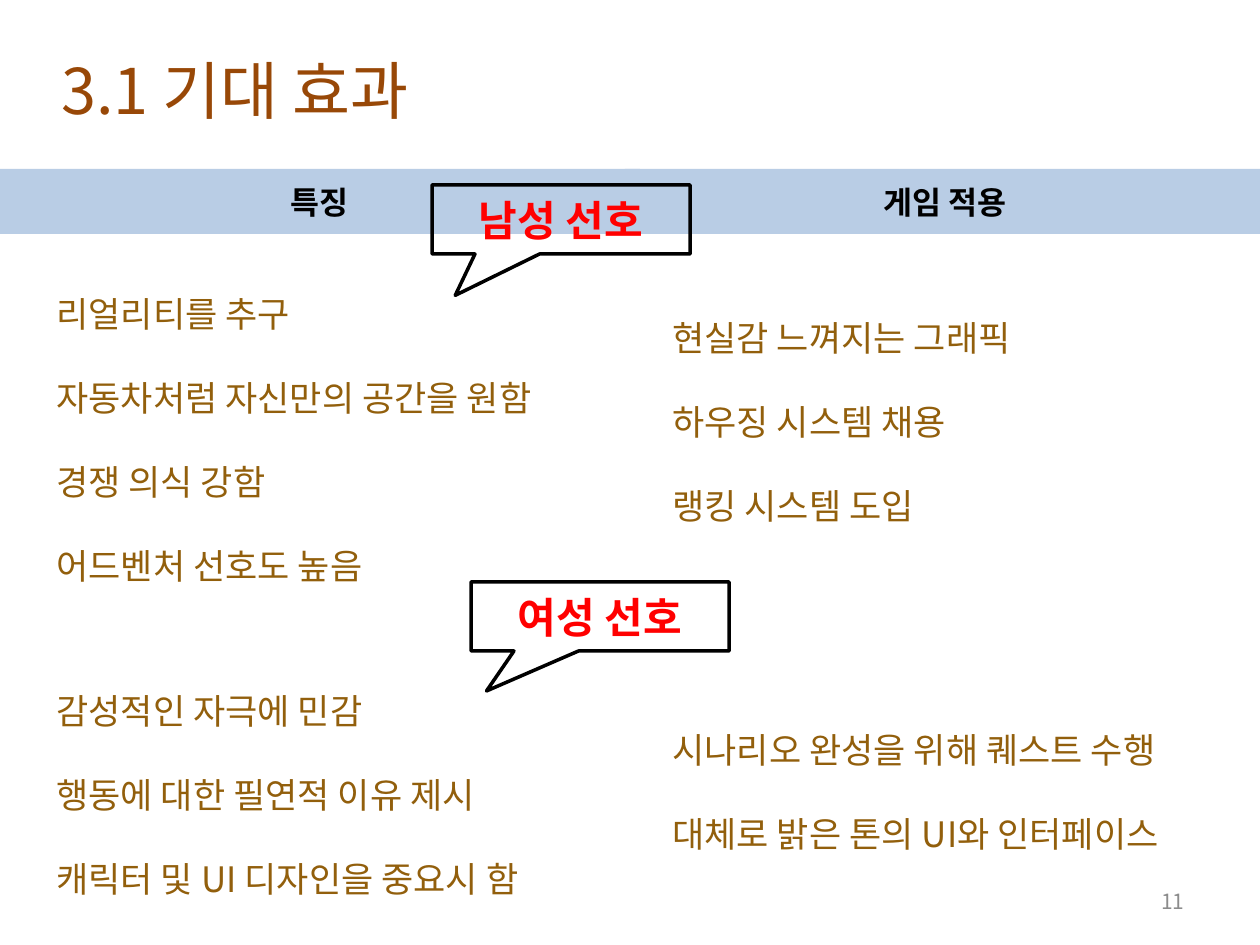
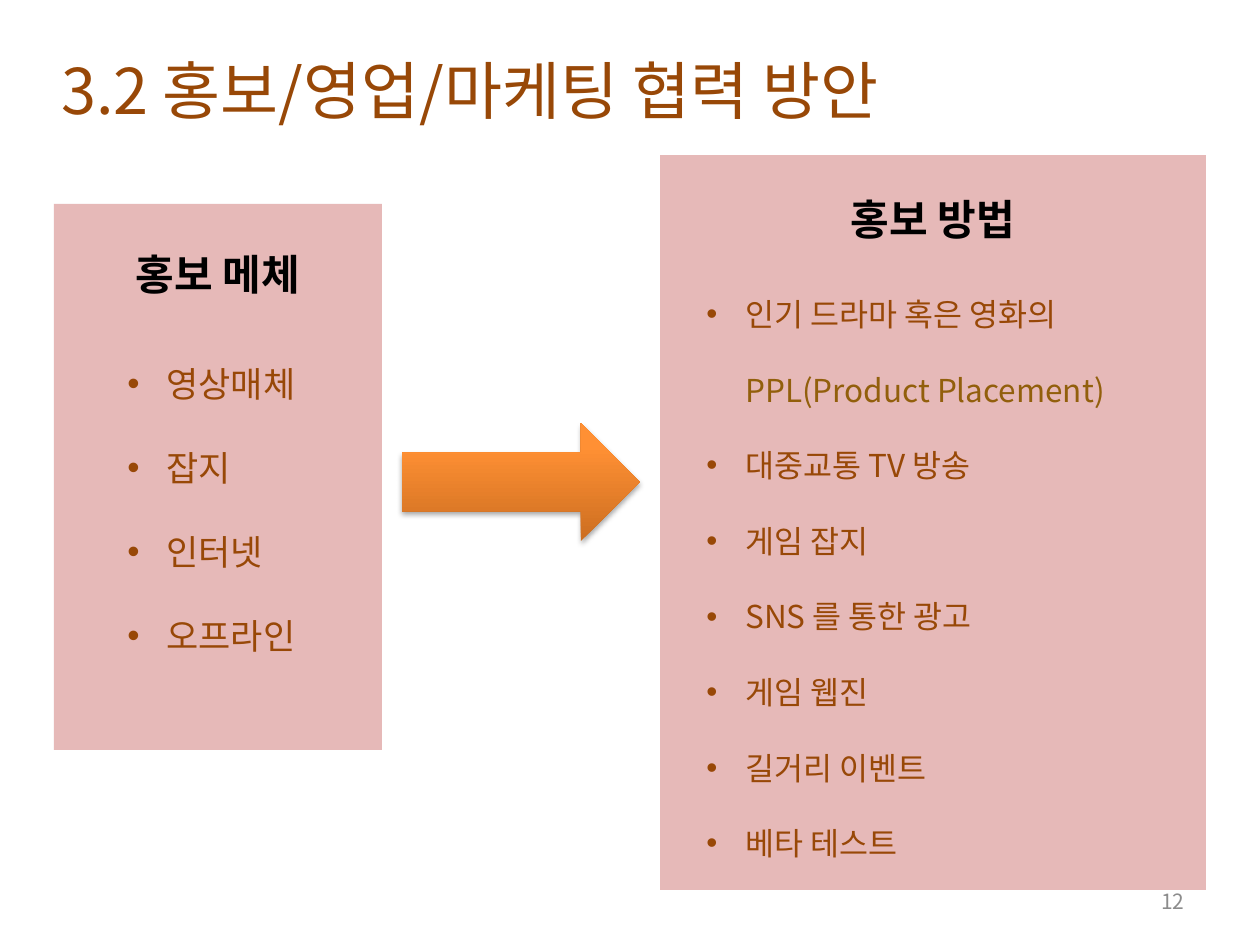
"""Build two slides on expected effects and promotion plans."""
from dataclasses import dataclass
from typing import Any, NamedTuple, Optional

import lxml.etree
import pptx
import pptx.dml.color
import pptx.enum.shapes
import pptx.enum.text
import pptx.oxml
import pptx.oxml.ns
import pptx.util

EMU_PER_PX = 914400 / 126
FONT = "Noto Sans CJK KR"
BLACK, RED, GREY = "000000", "FF0000", "8C8C8C"
BROWN, OCHRE = "984807", "925F0C"
BLUE, PINK = "B9CDE5", "E6B9B8"
SHAPES = pptx.enum.shapes.MSO_SHAPE
ALIGN = pptx.enum.text.PP_ALIGN
ANCHOR = pptx.enum.text.MSO_ANCHOR
NAMESPACE = 'xmlns:a="http://schemas.openxmlformats.org/drawingml/2006/main"'
HANGING = 39
ARROW_STOPS = ((0, "CC6E20"), (80, "FF9034"), (100, "FF9136"))


class Box(NamedTuple):
    """Place and size in px."""
    left: int
    top: int
    width: int
    height: int


class Run(NamedTuple):
    """Text in one colour."""
    text: str
    color: str


@dataclass(frozen=True)
class TextStyle:
    """Format of a paragraph and its runs."""
    size: int
    color: str
    bold: bool = False
    align: Any = ALIGN.LEFT


@dataclass(frozen=True)
class ListBlock:
    """Hanging paragraphs at double line spacing."""
    box: Box
    items: tuple
    style: TextStyle
    bullet: str = ""


@dataclass(frozen=True)
class Label:
    """Preset shape with one line of text."""
    box: Box
    text: str
    style: TextStyle
    kind: Any = SHAPES.RECTANGLE
    fill: Optional[str] = None
    line: Optional[str] = None
    pointer: tuple = ()
    top_inset: Optional[int] = None


TITLE = TextStyle(36, BROWN)
NUMBER = TextStyle(12, GREY, align=ALIGN.RIGHT)
BAND = TextStyle(18, BLACK, True, ALIGN.CENTER)
HEADING = TextStyle(24, BLACK, True, ALIGN.CENTER)
CALLOUT = TextStyle(24, RED, True, ALIGN.CENTER)
PREFERENCE = TextStyle(20, OCHRE)
MEDIUM = TextStyle(20, BROWN)
METHOD = TextStyle(18, BROWN)


def px(length: int) -> int:
    """Turn px into EMU."""
    return round(length * EMU_PER_PX)


def rgb(color: str) -> pptx.dml.color.RGBColor:
    """Turn a hex string into a colour."""
    return pptx.dml.color.RGBColor.from_string(color)


def apply(target: Any, values: dict) -> None:
    """Set each named attribute on the target."""
    for name, value in values.items():
        setattr(target, name, value)


def place(box: Box) -> tuple:
    """Give the EMU values of a box."""
    return tuple(px(length) for length in box)


def write(paragraph: Any, runs: tuple, style: TextStyle) -> None:
    """Write runs into a paragraph in one style."""
    paragraph.alignment = style.align
    for text, color in runs:
        run = paragraph.add_run()
        run.text = text
        apply(run.font, {"name": FONT, "size": pptx.util.Pt(style.size), "bold": style.bold})
        run.font.color.rgb = rgb(color)
        east_asian = lxml.etree.SubElement(run.font._element, pptx.oxml.ns.qn("a:ea"))
        east_asian.set("typeface", FONT)


def add_text(slide: Any, box: Box, text: str, style: TextStyle, **frame: Any) -> None:
    """Add one line of text in a text box."""
    text_frame = slide.shapes.add_textbox(*place(box)).text_frame
    apply(text_frame, {"word_wrap": True, **frame})
    write(text_frame.paragraphs[0], (Run(text, style.color),), style)


def add_list(slide: Any, block: ListBlock) -> None:
    """Add a list with hanging indents."""
    text_frame = slide.shapes.add_textbox(*place(block.box)).text_frame
    text_frame.word_wrap = True
    for index, item in enumerate(block.items):
        paragraph = text_frame.add_paragraph() if index else text_frame.paragraphs[0]
        runs = (Run(item, block.style.color),) if isinstance(item, str) else item
        write(paragraph, runs, block.style)
        paragraph.line_spacing = 2.0
        properties = paragraph._p.get_or_add_pPr()
        properties.set("marL", str(px(HANGING)))
        properties.set("indent", str(-px(HANGING)))
        if block.bullet:
            for tag, name, value in (("a:buFont", "typeface", "Arial"),
                                     ("a:buChar", "char", block.bullet)):
                lxml.etree.SubElement(properties, pptx.oxml.ns.qn(tag)).set(name, value)


def add_label(slide: Any, label: Label) -> None:
    """Add a preset shape with its text."""
    shape = slide.shapes.add_shape(label.kind, *place(label.box))
    shape.shadow.inherit = False
    for index, value in enumerate(label.pointer):
        shape.adjustments[index] = value
    if label.fill:
        shape.fill.solid()
        shape.fill.fore_color.rgb = rgb(label.fill)
    else:
        shape.fill.background()
    if label.line:
        shape.line.color.rgb = rgb(label.line)
        shape.line.width = pptx.util.Pt(2)
    else:
        shape.line.fill.background()
    frame = {"word_wrap": True, "vertical_anchor": ANCHOR.MIDDLE}
    if label.top_inset is not None:
        frame |= {"vertical_anchor": ANCHOR.TOP, "margin_top": px(label.top_inset)}
    apply(shape.text_frame, frame)
    write(shape.text_frame.paragraphs[0], (Run(label.text, label.style.color),), label.style)


def add_arrow(slide: Any, box: Box) -> None:
    """Add a shaded arrow with a soft shadow."""
    shape = slide.shapes.add_shape(SHAPES.RIGHT_ARROW, *place(box))
    shape.line.fill.background()
    stops = "".join(f'<a:gs pos="{position * 1000}"><a:srgbClr val="{color}"/></a:gs>'
                    for position, color in ARROW_STOPS)
    gradient = (f'<a:gradFill {NAMESPACE} rotWithShape="1"><a:gsLst>{stops}</a:gsLst>'
                '<a:lin ang="16200000" scaled="0"/></a:gradFill>')
    shadow = (f'<a:effectLst {NAMESPACE}><a:outerShdw blurRad="40000" dist="23000" '
              'dir="5400000" rotWithShape="0"><a:srgbClr val="000000">'
              '<a:alpha val="35000"/></a:srgbClr></a:outerShdw></a:effectLst>')
    properties = shape._element.spPr
    properties.find(pptx.oxml.ns.qn("a:ln")).addprevious(pptx.oxml.parse_xml(gradient))
    properties.append(pptx.oxml.parse_xml(shadow))


def add_slide(presentation: Any, title: str, title_width: int, number: int,
              labels: tuple, lists: tuple) -> Any:
    """Add a slide with labels, title, number and lists."""
    slide = presentation.slides.add_slide(presentation.slide_layouts[6])
    for label in labels:
        add_label(slide, label)
    add_text(slide, Box(49, 45, title_width, 89), title, TITLE, word_wrap=False)
    add_text(slide, Box(903, 876, 294, 50), str(number), NUMBER,
             vertical_anchor=ANCHOR.MIDDLE)
    for block in lists:
        add_list(slide, block)
    return slide


def band(left: int, text: str) -> Label:
    """Describe a column heading band."""
    return Label(Box(left, 169, 640, 65), text, BAND, fill=BLUE)


def callout(left: int, top: int, text: str, pointer: tuple) -> Label:
    """Describe an outlined speech callout."""
    return Label(Box(left, top, 258, 69), text, CALLOUT, SHAPES.RECTANGULAR_CALLOUT,
                 line=BLACK, pointer=pointer)


def panel(box: Box, text: str, top_inset: int) -> Label:
    """Describe a pink panel with a heading."""
    return Label(box, text, HEADING, fill=PINK, top_inset=top_inset)


def main() -> None:
    """Build and save the presentation."""
    presentation = pptx.Presentation()
    apply(presentation, {"slide_width": px(1260), "slide_height": px(945)})
    add_slide(
        presentation, "3.1 기대 효과", 417, 11,
        (band(0, "특징"), band(625, "게임 적용"),
         callout(432, 185, "남성 선호", (-0.41, 1.1)),
         callout(471, 582, "여성 선호", (-0.44, 1.08))),
        (ListBlock(Box(44, 244, 566, 352),
                   ("리얼리티를 추구", "자동차처럼 자신만의 공간을 원함",
                    "경쟁 의식 강함", "어드벤처 선호도 높음"), PREFERENCE),
         ListBlock(Box(44, 641, 774, 267),
                   ("감성적인 자극에 민감", "행동에 대한 필연적 이유 제시",
                    "캐릭터 및 UI 디자인을 중요시 함"), PREFERENCE),
         ListBlock(Box(660, 268, 600, 267),
                   ("현실감 느껴지는 그래픽", "하우징 시스템 채용", "랭킹 시스템 도입"),
                   PREFERENCE),
         ListBlock(Box(660, 680, 600, 183),
                   ("시나리오 완성을 위해 퀘스트 수행", "대체로 밝은 톤의 UI와 인터페이스"),
                   PREFERENCE)))
    promotion = add_slide(
        presentation, "3.2 홍보/영업/마케팅 협력 방안", 931, 12,
        (panel(Box(660, 155, 546, 735), "홍보 방법", 38),
         panel(Box(54, 204, 328, 546), "홍보 메체", 45)),
        (ListBlock(Box(115, 314, 397, 352), ("영상매체", "잡지", "인터넷", "오프라인"),
                   MEDIUM, "•"),
         ListBlock(Box(694, 251, 566, 694),
                   ((Run("인기 드라마 혹은 영화의 ", BROWN),
                     Run("PPL(Product Placement)", OCHRE)),
                    "대중교통 TV 방송", "게임 잡지", "SNS 를 통한 광고", "게임 웹진",
                    "길거리 이벤트", "베타 테스트"), METHOD, "•")))
    add_arrow(promotion, Box(402, 423, 238, 118))
    presentation.save("out.pptx")


if __name__ == "__main__":
    main()
